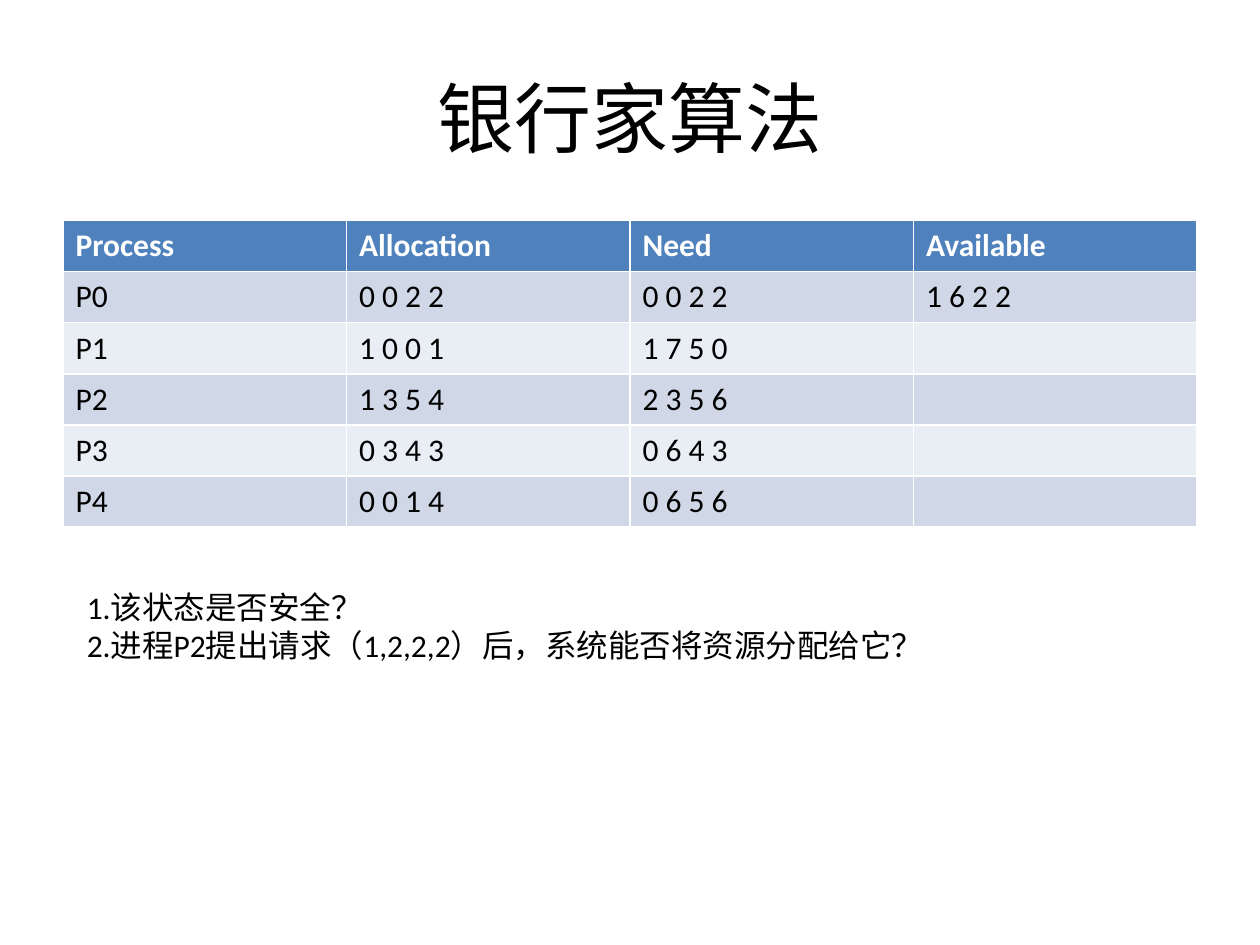
from dataclasses import dataclass

from pptx import Presentation
from pptx.dml.color import RGBColor
from pptx.enum.text import MSO_ANCHOR, MSO_AUTO_SIZE, PP_ALIGN
from pptx.util import Pt

CENTER = PP_ALIGN.CENTER
MIDDLE = MSO_ANCHOR.MIDDLE
GROW = MSO_AUTO_SIZE.SHAPE_TO_FIT_TEXT
TITLE_ONLY = 5


@dataclass(frozen=True)
class Theme:
    font: str = "Calibri"
    title_size: int = 44
    body_size: int = 18
    text: str = "000000"
    header_text: str = "FFFFFF"
    header_fill: str = "4F81BD"
    band_fills: tuple = ("D0D8E8", "E9EDF4")


THEME = Theme()
HEADERS = ("Process", "Allocation", "Need", "Available")
PROCESSES = (
    ("P0", "0 0 2 2", "0 0 2 2", "1 6 2 2"),
    ("P1", "1 0 0 1", "1 7 5 0", ""),
    ("P2", "1 3 5 4", "2 3 5 6", ""),
    ("P3", "0 3 4 3", "0 6 4 3", ""),
    ("P4", "0 0 1 4", "0 6 5 6", ""),
)
QUESTIONS = (
    "1.该状态是否安全？",
    "2.进程P2提出请求（1,2,2,2）后，系统能否将资源分配给它？",
)


def format_runs(tf, size, color, bold=False):
    for p in tf.paragraphs:
        for r in p.runs:
            r.font.name = THEME.font
            r.font.size = Pt(size)
            r.font.bold = bold
            r.font.color.rgb = RGBColor.from_string(color)


def place_title(slide, text, x, y, w, h):
    sp = slide.shapes.title
    sp.left, sp.top, sp.width, sp.height = Pt(x), Pt(y), Pt(w), Pt(h)
    tf = sp.text_frame
    tf.text = text
    tf.vertical_anchor = MIDDLE
    tf.paragraphs[0].alignment = CENTER
    format_runs(tf, THEME.title_size, THEME.text)


def add_process_table(slide, x, y, w, h):
    rows = (HEADERS, *PROCESSES)
    table = slide.shapes.add_table(
        len(rows), len(HEADERS), Pt(x), Pt(y), Pt(w), Pt(h)
    ).table
    for col in table.columns:
        col.width = Pt(w / len(HEADERS))
    for i, values in enumerate(rows):
        table.rows[i].height = Pt(h / len(rows))
        header = i == 0
        fill = THEME.header_fill if header else THEME.band_fills[(i - 1) % 2]
        color = THEME.header_text if header else THEME.text
        for cell, value in zip(table.rows[i].cells, values):
            cell.fill.solid()
            cell.fill.fore_color.rgb = RGBColor.from_string(fill)
            cell.text_frame.text = value
            format_runs(cell.text_frame, THEME.body_size, color, header)


def add_questions(slide, x, y, w, h):
    tf = slide.shapes.add_textbox(Pt(x), Pt(y), Pt(w), Pt(h)).text_frame
    tf.word_wrap = False
    tf.auto_size = GROW
    tf.text = "\n".join(QUESTIONS)
    format_runs(tf, THEME.body_size, THEME.text)


def main():
    prs = Presentation()
    prs.slide_width, prs.slide_height = Pt(720), Pt(540)
    slide = prs.slides.add_slide(prs.slide_layouts[TITLE_ONLY])
    place_title(slide, "银行家算法", 36, 21.6, 648, 90)
    add_process_table(slide, 36, 126, 648, 175.2)
    add_questions(slide, 42.5, 332.6, 497.5, 51)
    prs.save("out.pptx")


if __name__ == "__main__":
    main()
